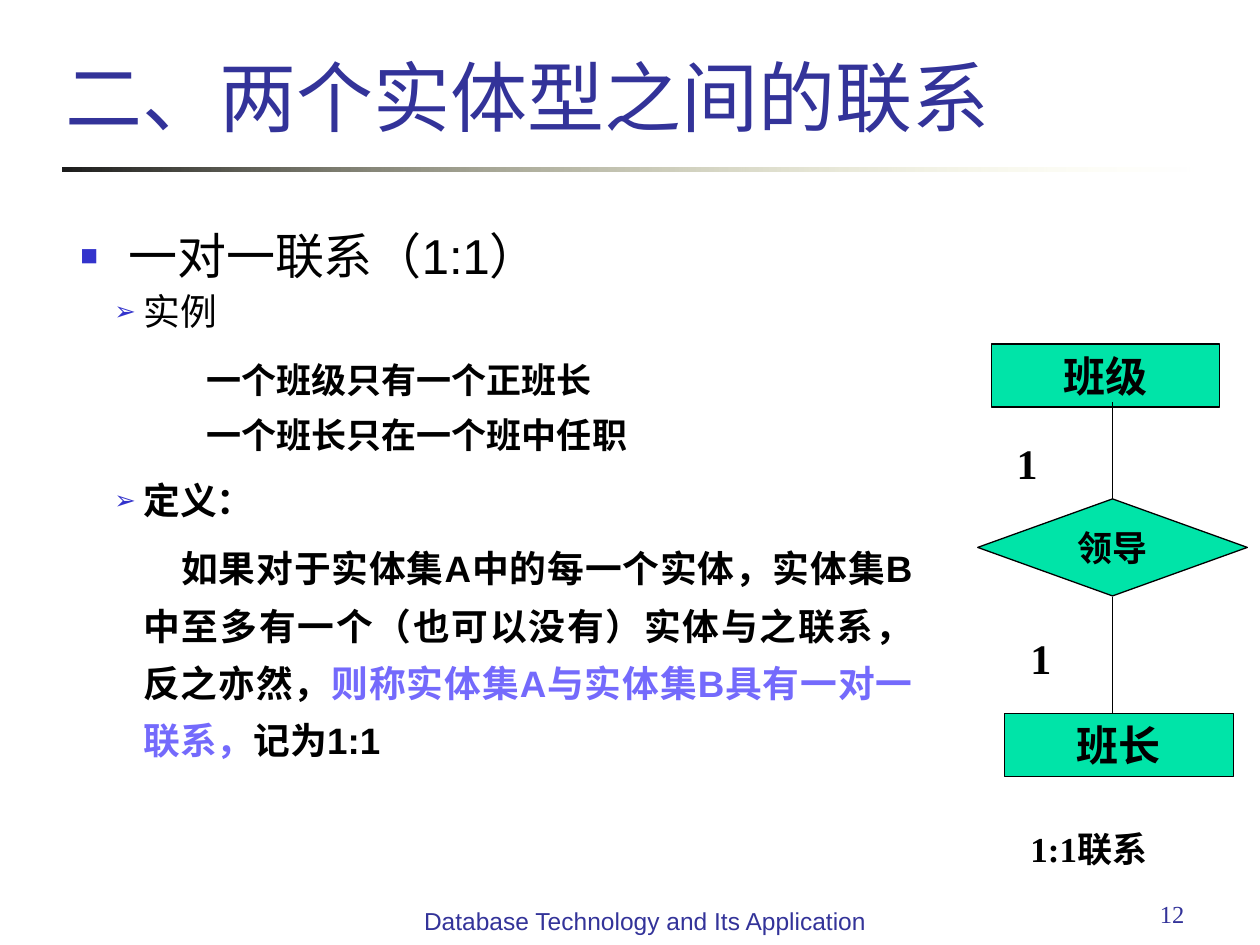
"""Build the slide on one-to-one relationships between two entity types."""
import lxml.etree
import pptx
import pptx.dml.color
import pptx.enum.shapes
import pptx.enum.text
import pptx.oxml
import pptx.oxml.ns
import pptx.util

NAVY = pptx.dml.color.RGBColor(0x33, 0x33, 0x99)
BLACK = pptx.dml.color.RGBColor(0, 0, 0)
VIOLET = pptx.dml.color.RGBColor(0x74, 0x6A, 0xFC)
GREEN = pptx.dml.color.RGBColor(0x00, 0xE4, 0xA8)
RULE_DARK = pptx.dml.color.RGBColor(0x1C, 0x1C, 0x1C)
RULE_LIGHT = pptx.dml.color.RGBColor(0xFF, 0xFF, 0xB7)
BULLET_HEX = "3333CC"

ALIGN = pptx.enum.text.PP_ALIGN
ANCHOR = pptx.enum.text.MSO_ANCHOR
SHAPE = pptx.enum.shapes.MSO_SHAPE
qn = pptx.oxml.ns.qn

deck = pptx.Presentation()
deck.slide_width = pptx.util.Inches(10)
deck.slide_height = pptx.util.Inches(7.5)
column = deck.slide_width / 100
row = deck.slide_height / 100
slide = deck.slides.add_slide(deck.slide_layouts[5])


def place(left, top, width, height):
    return int(left * column), int(top * row), int(width * column), int(height * row)


def write(shape, text, size, face, color, bold=False, align=ALIGN.LEFT, anchor=ANCHOR.TOP):
    frame = shape.text_frame
    frame.word_wrap = True
    frame.auto_size = pptx.enum.text.MSO_AUTO_SIZE.NONE
    frame.vertical_anchor = anchor
    frame.text = text
    frame.paragraphs[0].alignment = align
    font = frame.paragraphs[0].runs[0].font
    font.size, font.name, font.bold = pptx.util.Pt(size), face, bold
    font.color.rgb = color


rule = slide.shapes.add_shape(SHAPE.RECTANGLE, *place(5, 17.73, 90, 0.45))
rule.shadow.inherit = False
rule.line.fill.background()
rule.fill.gradient()
rule.fill.gradient_angle = 0
for stop, color in zip(rule.fill.gradient_stops, (RULE_DARK, RULE_LIGHT)):
    stop.color.rgb = color
fade = rule.fill._xPr.findall(".//" + qn("a:srgbClr"))[-1]
lxml.etree.SubElement(fade, qn("a:alpha"), val="0")

title = slide.shapes.title
title.left, title.top, title.width, title.height = place(4.2, 0, 87.8, 15.73)
write(title, "二、两个实体型之间的联系", 44, "Arial", NAVY, anchor=ANCHOR.BOTTOM)

outline = [
    ([("一对一联系（1:1）", BLACK)], 28, False, 0.38, -0.38, 0.9, 0, ("■", 60)),
    ([("实例", BLACK)], 21, False, 0.5, -0.23, 0.9, 5.2, ("➢", 70)),
    ([("一个班级只有一个正班长", BLACK)], 20, True, 1, 0, 1.4, 5, None),
    ([("一个班长只在一个班中任职", BLACK)], 20, True, 1, 0, 1.1, 5, None),
    ([("定义：", BLACK)], 21, True, 0.5, -0.23, 1.3, 5.2, ("➢", 70)),
    ([("如果对于实体集A中的每一个实体，实体集B中至多有一个（也可以没有）实体与之联系，反之亦然，", BLACK),
      ("则称实体集A与实体集B具有一对一联系，", VIOLET),
      ("记为1:1", BLACK)], 21, True, 0.5, 0.3, 1.3, 6, None),
]
body = slide.shapes.add_textbox(*place(5.4, 23.87, 68, 64.53)).text_frame
body.word_wrap = True
for number, (parts, size, bold, margin, indent, spacing, before, bullet) in enumerate(outline):
    paragraph = body.add_paragraph() if number else body.paragraphs[0]
    properties = paragraph._p.get_or_add_pPr()
    properties.set("marL", str(pptx.util.Inches(margin)))
    properties.set("indent", str(pptx.util.Inches(indent)))
    if bullet:
        mark, share = bullet
        tint = lxml.etree.SubElement(properties, qn("a:buClr"))
        lxml.etree.SubElement(tint, qn("a:srgbClr"), val=BULLET_HEX)
        lxml.etree.SubElement(properties, qn("a:buSzPct"), val=str(share * 1000))
        lxml.etree.SubElement(properties, qn("a:buFont"), typeface="Arial")
        lxml.etree.SubElement(properties, qn("a:buChar"), char=mark)
    paragraph.alignment = ALIGN.JUSTIFY
    paragraph.line_spacing = spacing
    paragraph.space_before = pptx.util.Pt(before)
    for text, color in parts:
        run = paragraph.add_run()
        run.text = text
        run.font.size, run.font.name, run.font.bold = pptx.util.Pt(size), "Arial", bold
        run.font.color.rgb = color

for kind, text, size, area in (
    (SHAPE.RECTANGLE, "班级", 24, (78.7, 36.4, 18.1, 6.67)),
    (SHAPE.DIAMOND, "领导", 20, (77.6, 52.8, 21.4, 10.27)),
    (SHAPE.RECTANGLE, "班长", 24, (79.7, 75.47, 18.2, 6.67)),
):
    node = slide.shapes.add_shape(kind, *place(*area))
    node.shadow.inherit = False
    node.fill.solid()
    node.fill.fore_color.rgb = GREEN
    node.line.color.rgb = BLACK
    node.line.width = pptx.util.Pt(0.75)
    write(node, text, size, "Times New Roman", BLACK, True, ALIGN.CENTER, ANCHOR.MIDDLE)

for start, end in ((52.8, 42.53), (63.2, 75.47)):
    link = slide.shapes.add_connector(
        pptx.enum.shapes.MSO_CONNECTOR.STRAIGHT, *place(88.3, start, 88.3, end))
    link.line.color.rgb = BLACK
    link.line.width = pptx.util.Pt(0.75)
    lxml.etree.SubElement(link._element.spPr, qn("a:effectLst"))

for text, size, face, color, bold, align, area in (
    ("1", 24, "Times New Roman", BLACK, True, ALIGN.LEFT, (79.7, 45.6, 5.3, 6.67)),
    ("1", 24, "Times New Roman", BLACK, True, ALIGN.LEFT, (80.8, 66.27, 5.3, 6.67)),
    ("1:1联系", 20, "Times New Roman", BLACK, True, ALIGN.LEFT, (80.8, 86.93, 19.2, 5.87)),
    ("12", 14, "Times New Roman", NAVY, False, ALIGN.RIGHT, (71.7, 94.53, 23.3, 6.93)),
    ("Database Technology and Its Application", 14, "Arial", NAVY, False, ALIGN.CENTER,
     (31.9, 95.2, 38.6, 6.93)),
):
    write(slide.shapes.add_textbox(*place(*area)), text, size, face, color, bold, align)

deck.save("out.pptx")
